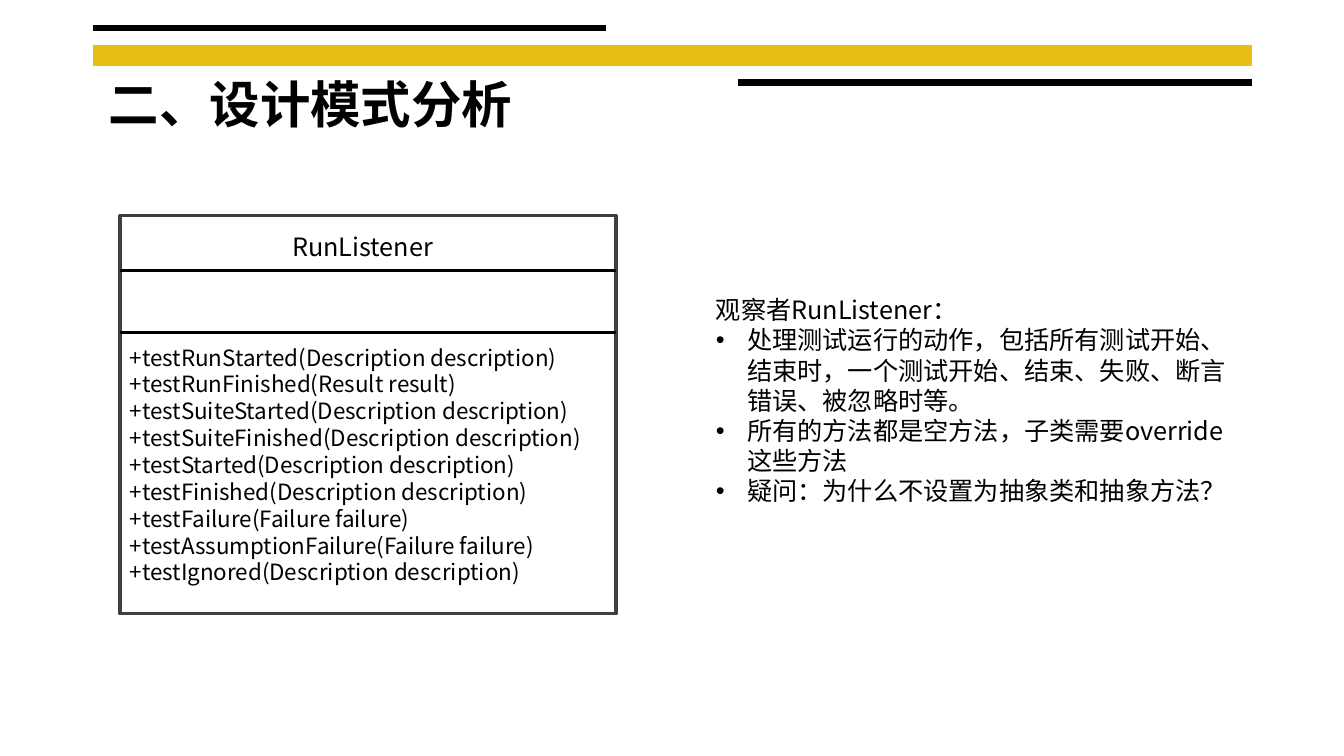
from lxml.etree import SubElement
from pptx import Presentation
from pptx.dml.color import RGBColor
from pptx.enum.shapes import MSO_CONNECTOR, MSO_SHAPE
from pptx.enum.text import MSO_ANCHOR, MSO_AUTO_SIZE, PP_ALIGN
from pptx.oxml.ns import qn
from pptx.util import Inches, Pt

# Content
FONT = "Noto Sans CJK SC"
TITLE = "二、设计模式分析"
CLASS_NAME = "RunListener"
METHODS = [
    "+testRunStarted(Description description)",
    "+testRunFinished(Result result)",
    "+testSuiteStarted(Description description)",
    "+testSuiteFinished(Description description)",
    "+testStarted(Description description)",
    "+testFinished(Description description)",
    "+testFailure(Failure failure)",
    "+testAssumptionFailure(Failure failure)",
    "+testIgnored(Description description)",
]
NOTES_HEADING = "观察者RunListener："
NOTES = [
    "处理测试运行的动作，包括所有测试开始、结束时，一个测试开始、结束、失败、断言错误、被忽略时等。",
    "所有的方法都是空方法，子类需要override这些方法",
    "疑问：为什么不设置为抽象类和抽象方法？",
]

# Layout: left, top, width, height
TITLE_AREA = (0.98, 0.68, 5.27, 0.71)
CLASS_AREA = (1.19, 2.14, 4.92, 3.95)
NAME_AREA = (2.8, 2.25, 1.63, 0.4)
METHODS_AREA = (1.19, 3.36, 4.92, 2.52)
NOTES_AREA = (7, 2.87, 5.43, 2.22)
DIVIDERS = [2.68, 3.3]
# Header bars: left, right, y, colour, width in points
BARS = [
    (0.92, 6.01, 0.28, "000000", 4.5),
    (0.92, 12.42, 0.55, "E6BE16", 15),
    (7.32, 12.42, 0.82, "000000", 4.5),
]
BULLET_INDENT = 0.31


def color(value):
    return RGBColor.from_string(value)


def add_rule(page, left, right, y, line_color, width):
    rule = page.shapes.add_connector(
        MSO_CONNECTOR.STRAIGHT, Inches(left), Inches(y), Inches(right), Inches(y))
    rule.line.color.rgb = color(line_color)
    rule.line.width = Pt(width)
    SubElement(rule._element.spPr, qn("a:effectLst"))


def place(box, area):
    for name, value in zip(("left", "top", "width", "height"), area):
        setattr(box, name, Inches(value))


def write(box, lines, size, bold=False, align=PP_ALIGN.LEFT):
    frame = box.text_frame
    frame_format = {
        "word_wrap": True, "auto_size": MSO_AUTO_SIZE.NONE,
        "vertical_anchor": MSO_ANCHOR.TOP,
        "margin_left": Inches(0.1), "margin_right": Inches(0.1),
        "margin_top": Inches(0.05), "margin_bottom": Inches(0.05),
    }
    for name, value in frame_format.items():
        setattr(frame, name, value)
    for index, line in enumerate(lines):
        para = frame.add_paragraph() if index else frame.paragraphs[0]
        para.alignment = align
        para.space_before = para.space_after = Pt(0)
        span = para.add_run()
        span.text = line
        font_format = {"name": FONT, "size": Pt(size), "bold": bold}
        for name, value in font_format.items():
            setattr(span.font, name, value)
        span.font.color.rgb = color("000000")
        SubElement(span._r.rPr, qn("a:ea")).set("typeface", FONT)


def set_bullet(para, character):
    properties = para._p.get_or_add_pPr()
    indent = Inches(BULLET_INDENT) if character else 0
    properties.set("marL", str(indent))
    properties.set("indent", str(-indent))
    if character:
        SubElement(properties, qn("a:buFont")).set("typeface", "Arial")
        SubElement(properties, qn("a:buChar")).set("char", character)
    else:
        SubElement(properties, qn("a:buNone"))


deck = Presentation()
deck.slide_width, deck.slide_height = Inches(13.33), Inches(7.5)
page = deck.slides.add_slide(deck.slide_layouts[1])
title, notes = page.placeholders

# Header bars and title
for bar in BARS:
    add_rule(page, *bar)
place(title, TITLE_AREA)
write(title, [TITLE], 36, bold=True)

# Class diagram
left, top, width, height = CLASS_AREA
class_box = page.shapes.add_shape(
    MSO_SHAPE.RECTANGLE, *(Inches(value) for value in CLASS_AREA))
class_box.shadow.inherit = False
class_box.fill.solid()
class_box.fill.fore_color.rgb = color("FFFFFF")
class_box.line.color.rgb = color("3F3F3F")
class_box.line.width = Pt(2.25)
for y in DIVIDERS:
    add_rule(page, left, left + width, y, "000000", 2.25)
for area, lines, size in [(NAME_AREA, [CLASS_NAME], 18), (METHODS_AREA, METHODS, 16)]:
    box = page.shapes.add_textbox(*(Inches(value) for value in area))
    write(box, lines, size)

# Observer notes
place(notes, NOTES_AREA)
write(notes, [NOTES_HEADING, *NOTES], 18)
for index, para in enumerate(notes.text_frame.paragraphs):
    set_bullet(para, "•" if index else None)

deck.save("out.pptx")
